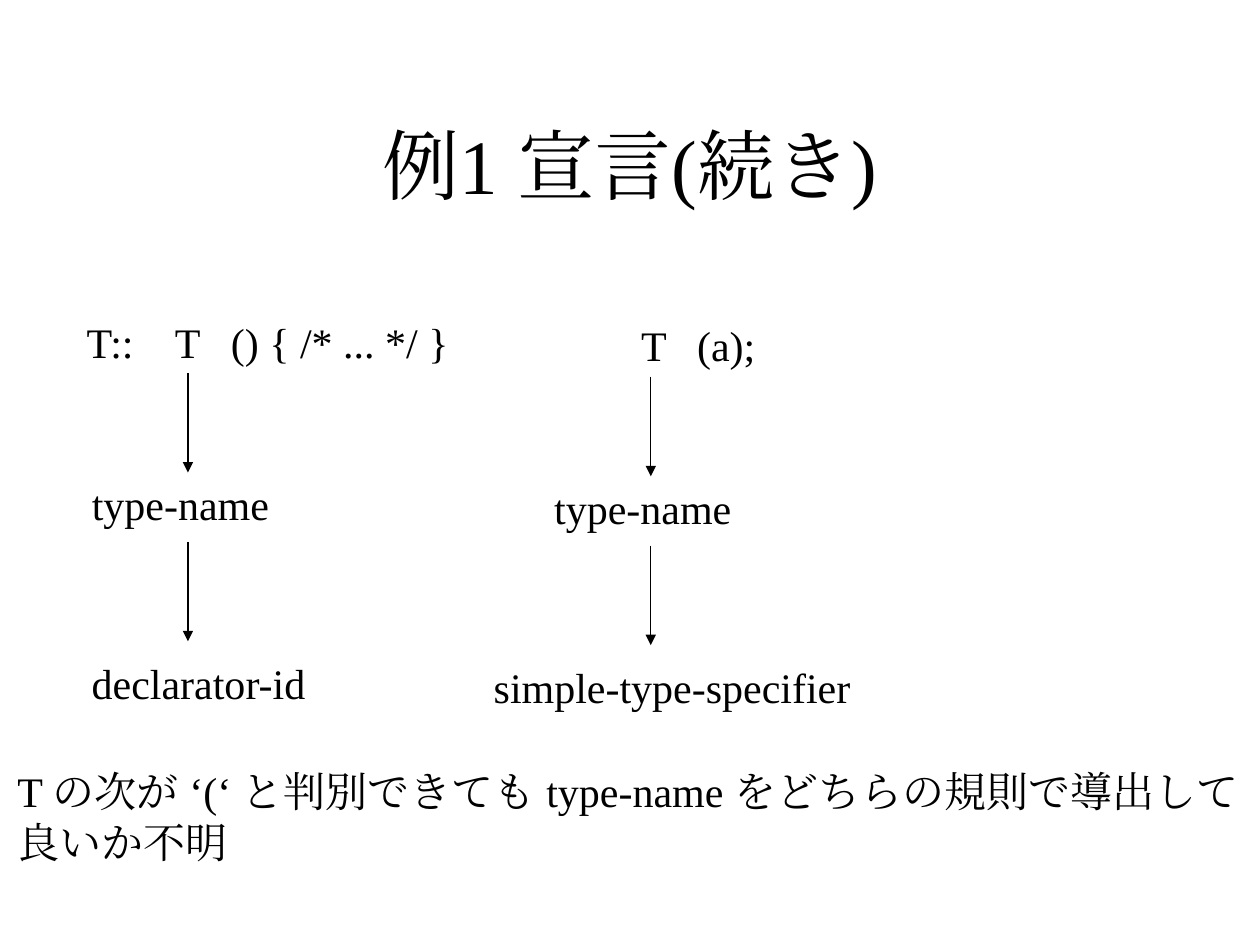
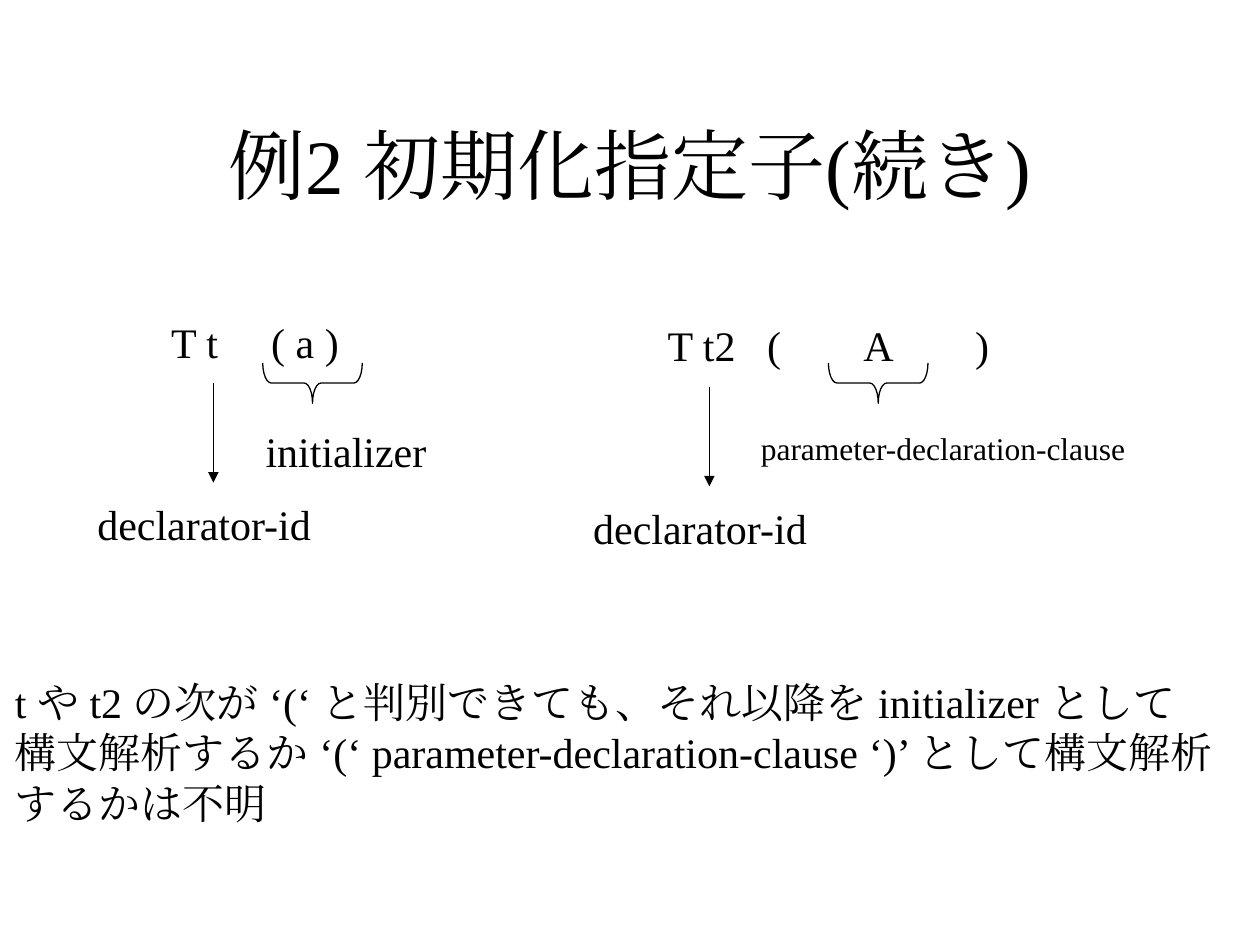
from dataclasses import dataclass

from lxml import etree
from pptx import Presentation
from pptx.dml.color import RGBColor
from pptx.enum import lang, shapes, text
from pptx.oxml.ns import qn
from pptx import util as u


@dataclass(frozen=True)
class Theme:
    """Colours, font, type sizes and line width of the deck."""
    ink: RGBColor = RGBColor(0, 0, 0)
    paper: RGBColor = RGBColor(255, 255, 255)
    font: str = "Times New Roman"
    title: int = 44
    body: int = 24
    small: int = 18
    line: float = 0.75


class Deck:
    """Draws on the current slide in a grid of 100 columns by 75 rows."""
    COLS, ROWS = 100, 75
    ARROW = 7.9

    def __init__(self, theme):
        """Start an empty 4:3 presentation."""
        self.theme = theme
        self.prs = Presentation()
        self.prs.slide_width, self.prs.slide_height = u.Inches(10), u.Inches(7.5)

    def x(self, cols):
        """Convert columns to a length."""
        return round(self.prs.slide_width * cols / self.COLS)

    def y(self, rows):
        """Convert rows to a length."""
        return round(self.prs.slide_height * rows / self.ROWS)

    def slide(self, title):
        """Add a blank slide with its centred title."""
        self.s = self.prs.slides.add_slide(self.prs.slide_layouts[6])
        fill = self.s.background.fill
        fill.solid()
        fill.fore_color.rgb = self.theme.paper
        self.text(7.5, 6.7, 85, 12.5, title, self.theme.title,
                  text.PP_ALIGN.CENTER, text.MSO_ANCHOR.MIDDLE)

    def text(self, left, top, width, height, content, size=None,
             align=text.PP_ALIGN.LEFT, anchor=text.MSO_ANCHOR.TOP, tabs=()):
        """Add a text box with one paragraph per line of content."""
        sp = self.s.shapes.add_textbox(self.x(left), self.y(top),
                                       self.x(width), self.y(height))
        tf = sp.text_frame
        tf.word_wrap = True
        tf.vertical_anchor = anchor
        tf.text = content
        for p in tf.paragraphs:
            p.alignment = align
            if tabs:
                stops = etree.SubElement(p._p.get_or_add_pPr(), qn("a:tabLst"))
                for tab in tabs:
                    etree.SubElement(stops, qn("a:tab"), pos=str(self.x(tab)), algn="l")
            p.font.name = self.theme.font
            p.font.size = u.Pt(size or self.theme.body)
            p.font.color.rgb = self.theme.ink
            p.font.language_id = lang.MSO_LANGUAGE_ID.JAPANESE
            style = p._p.pPr.find(qn("a:defRPr"))
            etree.SubElement(style, qn("a:ea"), typeface=self.theme.font)

    def label(self, left, top, width, content, size=None, tabs=()):
        """Add a one-line label."""
        self.text(left, top, width, 5, content, size, tabs=tabs)

    def stroke(self, line):
        """Give a line the deck's colour and width."""
        line.color.rgb = self.theme.ink
        line.width = u.Pt(self.theme.line)

    def arrow(self, col, top):
        """Add a downward arrow of the standard length."""
        sp = self.s.shapes.add_connector(
            shapes.MSO_CONNECTOR.STRAIGHT, self.x(col), self.y(top),
            self.x(col), self.y(top + self.ARROW))
        self.stroke(sp.line)
        etree.SubElement(sp.line._get_or_add_ln(), qn("a:tailEnd"), type="triangle")
        etree.SubElement(sp._element.spPr, qn("a:effectLst"))

    def brace(self, center, middle):
        """Add a brace that opens upwards around a centre point."""
        depth, span = 3.2, 7.9
        sp = self.s.shapes.add_shape(
            shapes.MSO_SHAPE.RIGHT_BRACE, self.x(center - depth / 2),
            self.y(middle - span / 2), self.x(depth), self.y(span))
        sp.rotation = 90
        sp.adjustments[0] = 0.21
        sp.shadow.inherit = False
        sp.fill.background()
        self.stroke(sp.line)


def declaration(deck):
    """Build the slide on declarations."""
    deck.slide("例1 宣言(続き)")
    derivations = (
        (24.6, 14.92, (5.9, 34, "T::\tT\t() { /* ... */ }", (7, 11.45)),
         6.3, (6.3, 19.7, "declarator-id")),
        (24.9, 51.65, (49.9, 13, "T\t(a);", (4.45,)),
         43, (38.2, 33, "simple-type-specifier")),
    )
    for top, axis, (left, width, code, tabs), name_left, rule in derivations:
        deck.label(left, top, width, code, tabs=tabs)
        deck.label(name_left, top + 12.9, 18.1, "type-name")
        rule_left, rule_width, rule_name = rule
        deck.label(rule_left, top + 27.1, rule_width, rule_name)
        for drop in (5, 18.4):
            deck.arrow(axis, top + drop)
    deck.text(0.4, 60.3, 100, 9,
              "T の次が ‘(‘ と判別できても type-name をどちらの規則で導出して\n良いか不明")


def initializer(deck):
    """Build the slide on initializers."""
    deck.slide("例2 初期化指定子(続き)")
    small = deck.theme.small
    derivations = (
        (24.6, 16.94, (12.6, 18, "T t\t( a )", (7.95,)),
         24.8, (20.1, 33.3, 15, "initializer", None)),
        (24.9, 56.3, (52, 30, "T t2\t(\tA\t)", (7.9, 15.55, 24.4)),
         69.7, (59.4, 33.6, 31.5, "parameter-declaration-clause", small)),
    )
    for top, axis, (left, width, code, tabs), center, clause in derivations:
        deck.label(left, top, width, code, tabs=tabs)
        deck.brace(center, 30.4)
        deck.label(*clause)
        deck.arrow(axis, top + 5.8)
        deck.label(axis - 10.2, top + 14.5, 19.7, "declarator-id")
    deck.text(0.2, 53.2, 100, 13,
              "t や t2 の次が ‘(‘ と判別できても、それ以降を initializer として\n"
              "構文解析するか ‘(‘ parameter-declaration-clause ‘)’ として構文解析\n"
              "するかは不明")


def main():
    """Build and save the deck."""
    deck = Deck(Theme())
    declaration(deck)
    initializer(deck)
    deck.prs.save("out.pptx")


if __name__ == "__main__":
    main()
